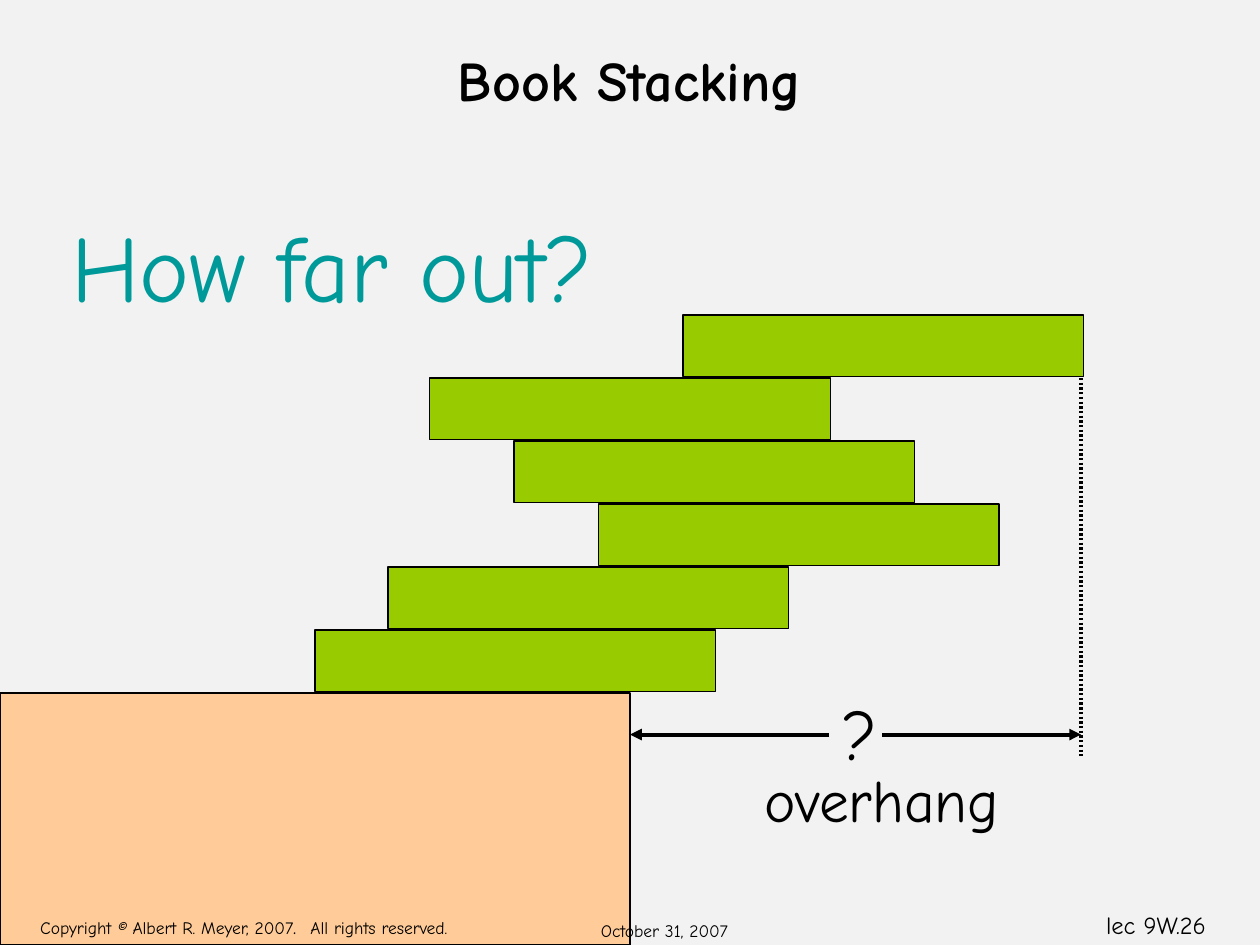
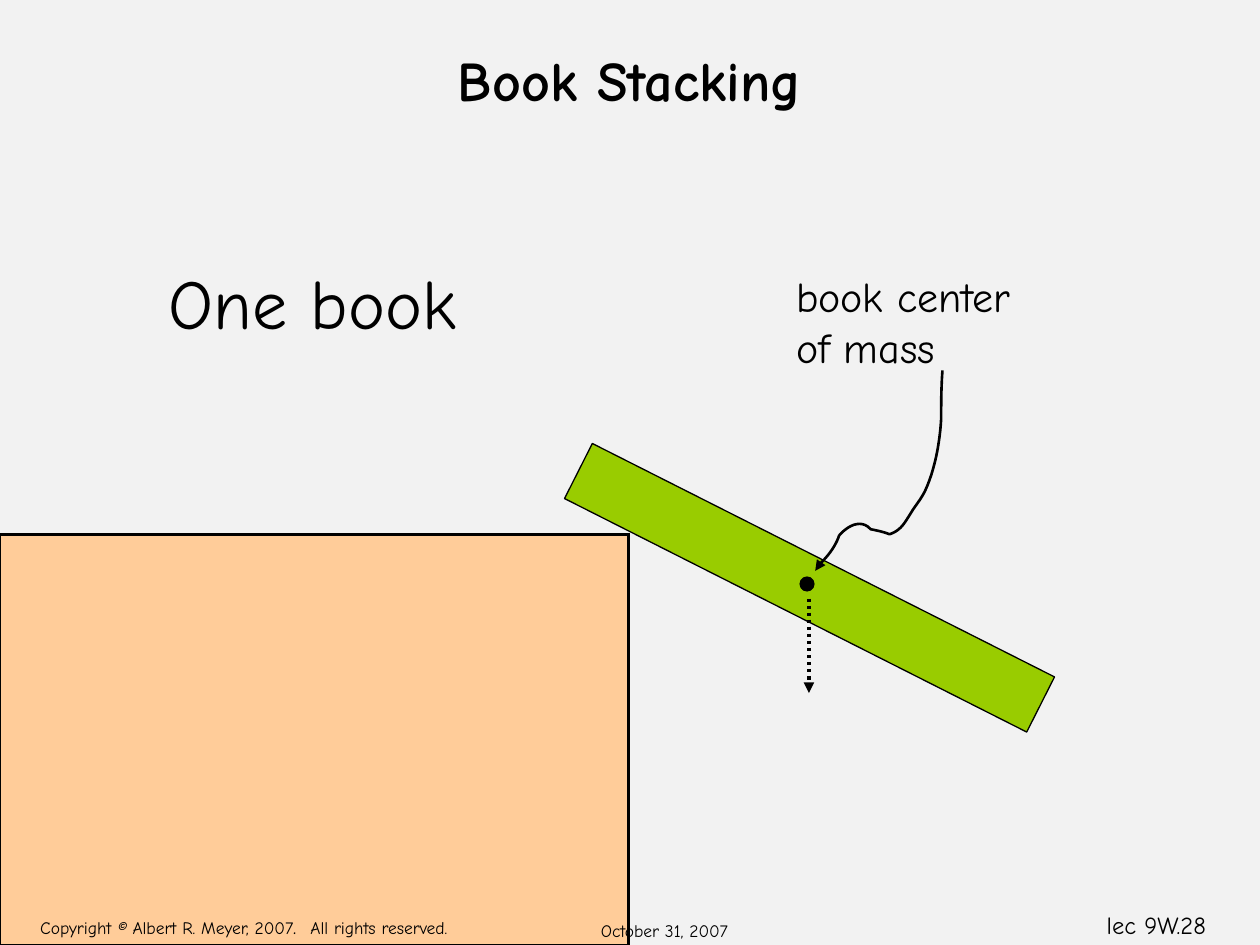
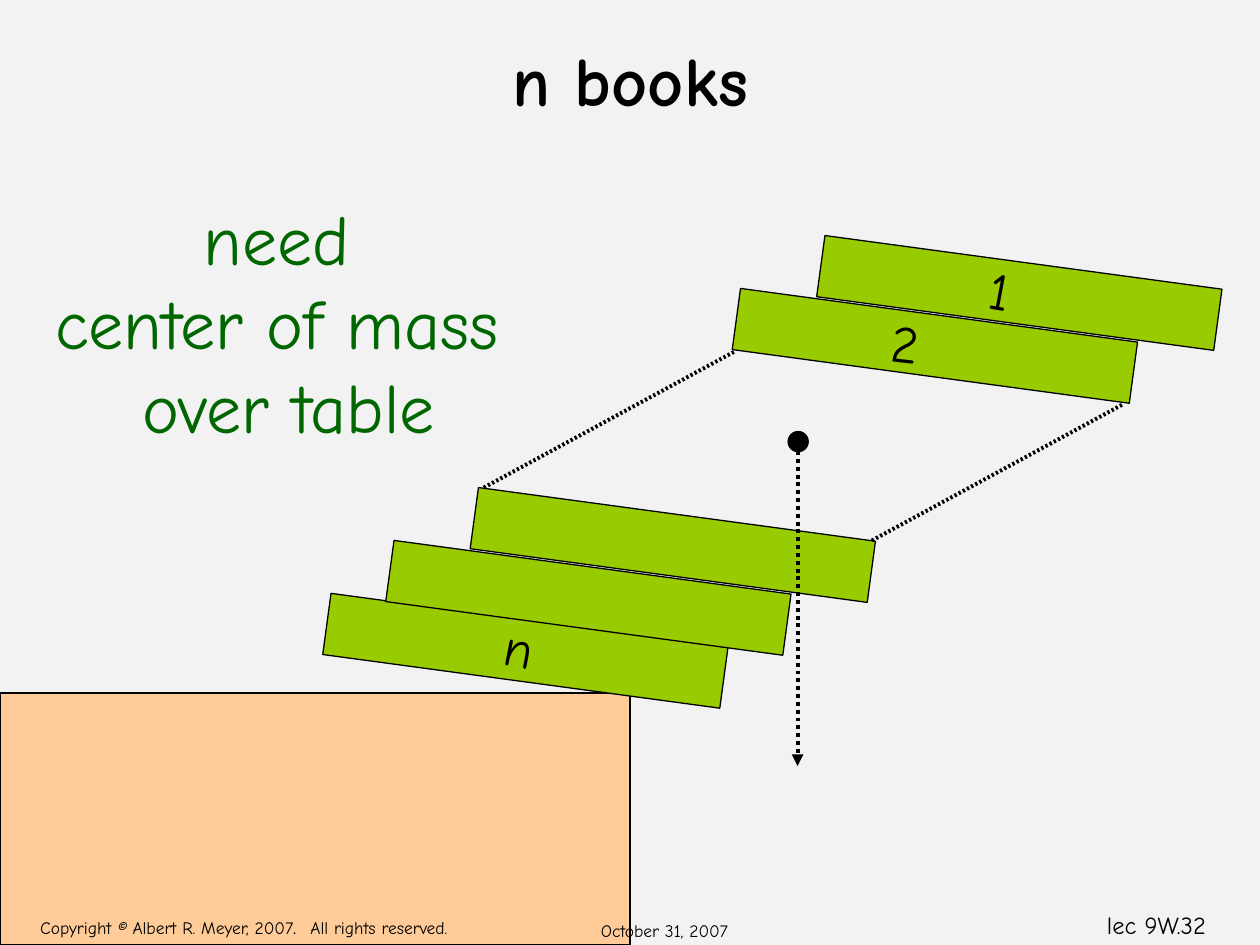
"""Build three slides on stacking books over the edge of a table."""
from typing import NamedTuple, Optional

from lxml import etree
from pptx import Presentation
from pptx.dml.color import RGBColor
from pptx.enum.dml import MSO_LINE
from pptx.enum.shapes import MSO_CONNECTOR, MSO_SHAPE
from pptx.enum.text import MSO_ANCHOR, MSO_AUTO_SIZE, PP_ALIGN
from pptx.oxml.ns import qn
from pptx.util import Inches, Pt

RECT, OVAL = MSO_SHAPE.RECTANGLE, MSO_SHAPE.OVAL
STRAIGHT = MSO_CONNECTOR.STRAIGHT
DOTS = MSO_LINE.ROUND_DOT
LEFT, MID, RIGHT = PP_ALIGN.LEFT, PP_ALIGN.CENTER, PP_ALIGN.RIGHT
TOP, CENTER = MSO_ANCHOR.TOP, MSO_ANCHOR.MIDDLE
GROW, FIXED = MSO_AUTO_SIZE.SHAPE_TO_FIT_TEXT, MSO_AUTO_SIZE.NONE

BLACK = RGBColor(0x00, 0x00, 0x00)
PAPER = RGBColor(0xF2, 0xF2, 0xF2)
LIME = RGBColor(0x99, 0xCC, 0x00)
PEACH = RGBColor(0xFF, 0xCC, 0x99)
TEAL = RGBColor(0x00, 0x99, 0x99)
GREEN = RGBColor(0x00, 0x66, 0x00)
FONT = "Comic Neue"

WIDE, THICK, STEP = 3.18, 0.49, 0.5
LEAN = 7.7
CURVE_STEPS = 12


class Run(NamedTuple):
    """A stretch of text with its own size and slant."""
    text: str
    size: float
    slant: bool = False


class Label(NamedTuple):
    """A text box; each entry of lines is one paragraph of runs."""
    left: float
    top: float
    width: float
    height: float
    lines: list[list[Run]]
    color: RGBColor = BLACK
    align: PP_ALIGN = LEFT
    anchor: MSO_ANCHOR = TOP
    bold: bool = False
    wrap: bool = False
    fit: MSO_AUTO_SIZE = GROW
    turn: float = 0


class Block(NamedTuple):
    """A filled preset shape."""
    left: float
    top: float
    width: float
    height: float
    fill: RGBColor
    kind: MSO_SHAPE = RECT
    turn: float = 0
    edge: bool = True


class Rule(NamedTuple):
    """A straight line between two points."""
    start: tuple[float, float]
    end: tuple[float, float]
    weight: float = 2.25
    dash: Optional[MSO_LINE] = None
    fine: bool = False
    arrow: bool = False


TABLE = Block(0, 5.5, 5, 2, PEACH)
STACK = [2.5, 3.08, 4.75, 4.08, 3.41, 5.42]
LEANING = [(2.58, 4.92), (3.08, 4.5), (3.75, 4.08), (5.83, 2.5), (6.5, 2.08)]
POINTER = [
    (7.48, 2.94), (7.47, 3.07), (7.47, 3.2), (7.47, 3.32),
    (7.46, 3.51), (7.42, 3.73), (7.34, 3.9),
    (7.31, 3.96), (7.26, 4.02), (7.23, 4.07),
    (7.18, 4.15), (7.15, 4.21), (7.06, 4.24),
    (7.01, 4.22), (6.96, 4.21), (6.91, 4.2),
    (6.83, 4.11), (6.72, 4.18), (6.66, 4.25),
    (6.63, 4.34), (6.56, 4.43), (6.49, 4.49),
    (6.48, 4.54), (6.49, 4.53), (6.47, 4.53),
]


def plain(size: float, *texts: str) -> list[list[Run]]:
    """Make one single-run paragraph per text."""
    return [[Run(text, size)] for text in texts]


def write(slide, label: Label) -> None:
    """Draw a text box run by run."""
    box = slide.shapes.add_textbox(
        Inches(label.left), Inches(label.top), Inches(label.width), Inches(label.height))
    box.rotation = label.turn
    frame = box.text_frame
    frame.word_wrap = label.wrap
    frame.auto_size = label.fit
    frame.vertical_anchor = label.anchor
    for spot, line in enumerate(label.lines):
        para = frame.add_paragraph() if spot else frame.paragraphs[0]
        para.alignment = label.align
        for part in line:
            run = para.add_run()
            run.text = part.text
            run.font.name = FONT
            run.font.size = Pt(part.size)
            run.font.bold = label.bold
            run.font.italic = part.slant
            run.font.color.rgb = label.color


def place(slide, block: Block) -> None:
    """Draw a filled shape."""
    shape = slide.shapes.add_shape(
        block.kind, Inches(block.left), Inches(block.top),
        Inches(block.width), Inches(block.height))
    shape.shadow.inherit = False
    shape.rotation = block.turn
    shape.fill.solid()
    shape.fill.fore_color.rgb = block.fill
    if block.edge:
        ink(shape.line, 0.75)
    else:
        shape.line.fill.background()


def ink(line, weight: float) -> None:
    """Give a line its colour and weight."""
    line.color.rgb = BLACK
    line.width = Pt(weight)


def point(shape) -> None:
    """Put a triangle at the end of a line."""
    etree.SubElement(shape.line._get_or_add_ln(), qn("a:tailEnd"), type="triangle")


def rule(slide, item: Rule) -> None:
    """Draw a straight line."""
    ends = [Inches(value) for value in (*item.start, *item.end)]
    line = slide.shapes.add_connector(STRAIGHT, *ends)
    ink(line.line, item.weight)
    if item.dash is not None:
        line.line.dash_style = item.dash
    if item.fine:
        dashes = etree.SubElement(line.line._get_or_add_ln(), qn("a:custDash"))
        etree.SubElement(dashes, qn("a:ds"), d="60000", sp="60000")
    if item.arrow:
        point(line)
    etree.SubElement(line._element.spPr, qn("a:effectLst"))


def bend(slide, knots: list[tuple[float, float]]) -> None:
    """Draw a chain of cubic curves that ends in an arrowhead."""
    spots = []
    for first in range(0, len(knots) - 1, 3):
        curve = knots[first:first + 4]
        for step in range(1, CURVE_STEPS + 1):
            t = step / CURVE_STEPS
            parts = ((1 - t) ** 3, 3 * t * (1 - t) ** 2, 3 * t * t * (1 - t), t ** 3)
            x, y = (sum(p * k[axis] for p, k in zip(parts, curve)) for axis in (0, 1))
            spots.append((Inches(x), Inches(y)))
    x, y = knots[0]
    pen = slide.shapes.build_freeform(Inches(x), Inches(y))
    pen.add_line_segments(spots, close=False)
    shape = pen.convert_to_shape()
    shape.shadow.inherit = False
    shape.fill.background()
    ink(shape.line, 1.5)
    point(shape)


def book(left: float, top: float, turn: float = 0, width: float = WIDE) -> Block:
    """Describe one book."""
    return Block(left, top, width, THICK, LIME, turn=turn)


def begin(deck, title: str, size: float = 32):
    """Add a slide with its title."""
    slide = deck.slides.add_slide(deck.slide_layouts[6])
    write(slide, Label(0.75, 0, 8.5, 1.25, plain(size, title), align=MID,
                       anchor=CENTER, bold=True, wrap=True, fit=FIXED))
    return slide


def finish(slide, number: int) -> None:
    """Add the footer texts."""
    rights = [Run("Copyright ", 10), Run("©", 10, True), Run(" Albert R. Meyer, 2007", 10),
              Run(".  ", 12), Run("All rights reserved.", 10)]
    write(slide, Label(8.17, 7.17, 1.5, 0.34, plain(14, f"lec 9W.{number}"),
                       align=RIGHT, wrap=True))
    write(slide, Label(4.67, 7.25, 1.58, 0.25, plain(10, "October 31, 2007"),
                       wrap=True, fit=FIXED))
    write(slide, Label(0.22, 7.2, 3.45, 0.3, [rights]))


def overhang(deck) -> None:
    """Ask how far a stack can reach."""
    slide = begin(deck, "Book Stacking")
    place(slide, TABLE)
    for level, left in enumerate(STACK):
        place(slide, book(left, 5 - STEP * level))
    write(slide, Label(0.47, 1.6, 4.35, 1, plain(54, "How far out?"), TEAL))
    rule(slide, Rule((8.58, 3), (8.58, 6), fine=True))
    write(slide, Label(6.59, 5.43, 0.48, 0.77, plain(40, "?")))
    for start, end in ((6.58, 5), (7, 8.58)):
        rule(slide, Rule((start, 5.83), (end, 5.83), arrow=True))
    write(slide, Label(5.97, 6.01, 2.07, 0.67, plain(34, "overhang")))
    finish(slide, 26)


def single(deck) -> None:
    """Show one book as it tips off the table."""
    slide = begin(deck, "Book Stacking")
    place(slide, Block(0, 4.24, 4.99, 3.26, PEACH))
    rule(slide, Rule((0, 4.24), (5, 4.24), 1.5))
    rule(slide, Rule((4.99, 4.24), (4.99, 7.5), 1.5))
    place(slide, book(4.37, 4.42, 26.8, 4.11))
    place(slide, Block(6.35, 4.58, 0.11, 0.11, BLACK, OVAL))
    bend(slide, POINTER)
    write(slide, Label(1.24, 2.01, 2.48, 0.77, plain(40, "One book")))
    rule(slide, Rule((6.42, 4.75), (6.42, 5.5), 2, DOTS, arrow=True))
    write(slide, Label(6.22, 2.1, 2.2, 0.9, plain(24, "book center", "of mass"), wrap=True))
    finish(slide, 28)


def many(deck) -> None:
    """Show a leaning stack of n books."""
    slide = begin(deck, "n books", 40)
    place(slide, TABLE)
    for left, top in LEANING:
        place(slide, book(left, top, LEAN))
    for x, y in ((3.84, 3.87), (6.92, 4.29)):
        rule(slide, Rule((x, y), (x + 1.99, y - 1.08), fine=True))
    place(slide, Block(6.25, 3.42, 0.17, 0.17, BLACK, OVAL, edge=False))
    rule(slide, Rule((6.33, 3.58), (6.33, 6.08), dash=DOTS, arrow=True))
    need = plain(40, "need ", "center of mass ", "over table")
    write(slide, Label(0.33, 1.5, 3.92, 2.1, need, GREEN, MID))
    marks = [("1", 7.76, 2, 0.36, 9.9), ("2", 6.98, 2.42, 0.42, 6.7),
             ("n", 3.91, 4.83, 0.43, 11)]
    for text, left, top, width, turn in marks:
        write(slide, Label(left, top, width, 0.6, plain(30, text), turn=turn))
    finish(slide, 32)


def main() -> None:
    """Build and save the deck."""
    deck = Presentation()
    deck.slide_width, deck.slide_height = Inches(10), Inches(7.5)
    back = deck.slide_master.background.fill
    back.solid()
    back.fore_color.rgb = PAPER
    for build in (overhang, single, many):
        build(deck)
    deck.save("out.pptx")


if __name__ == "__main__":
    main()
